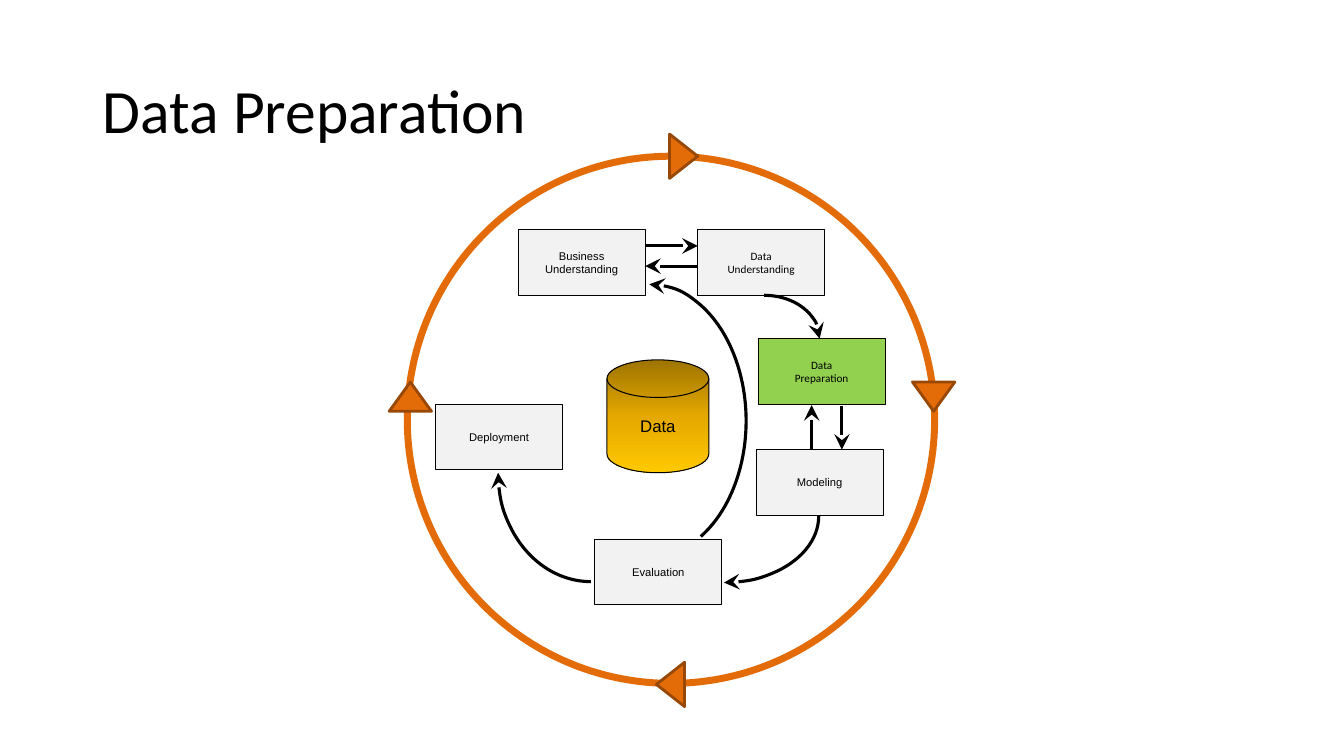
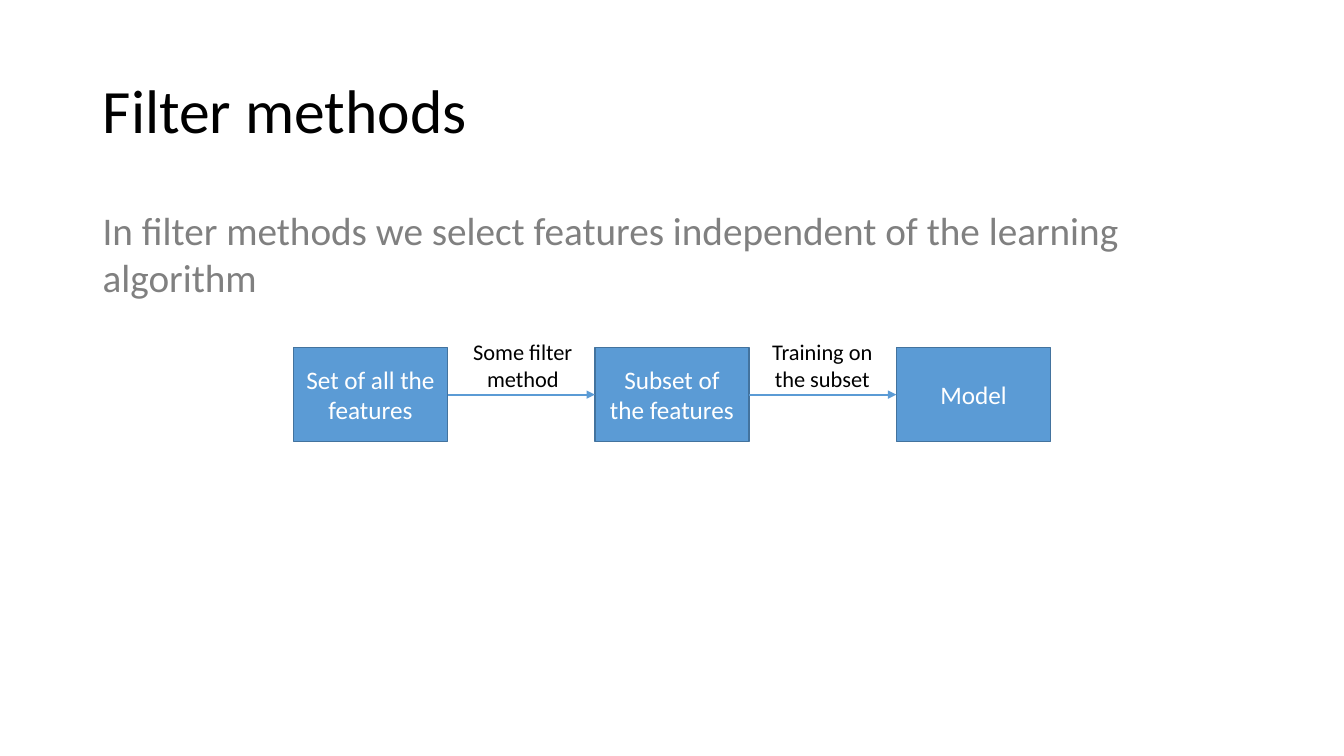
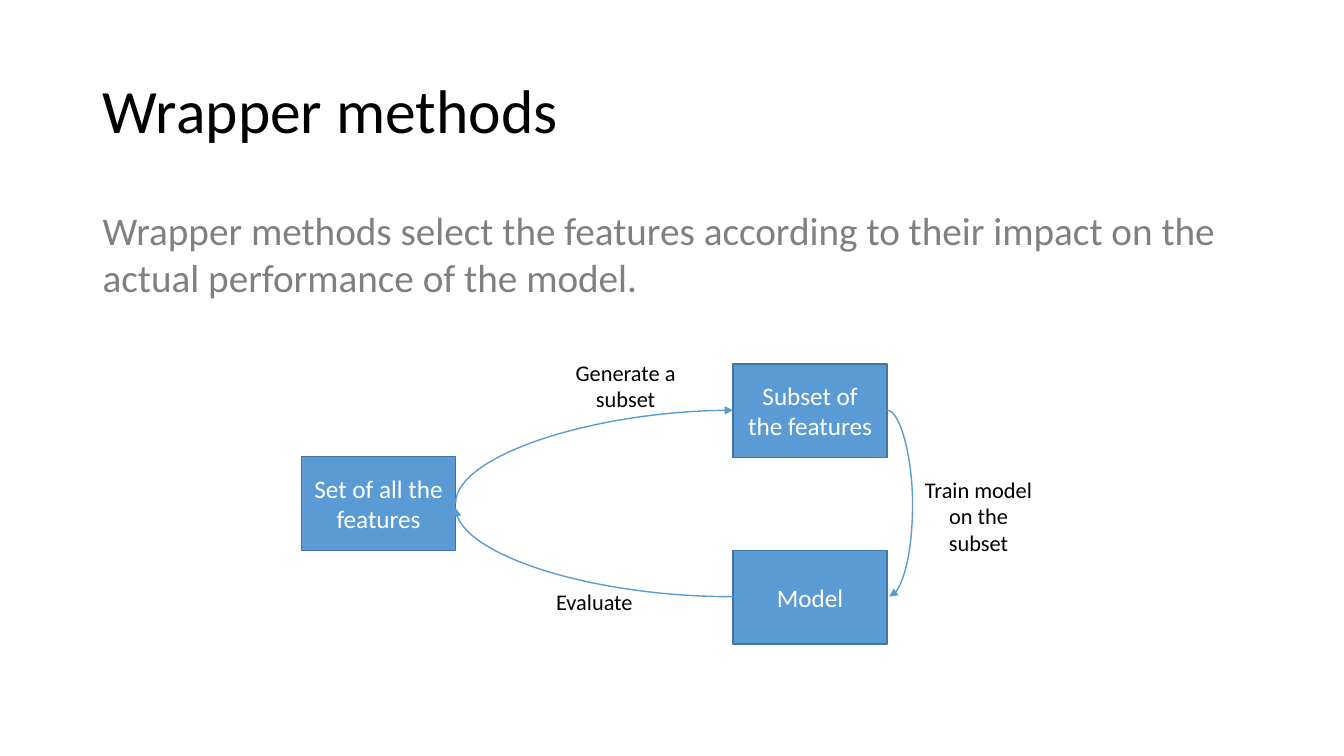
from copy import deepcopy

from lxml import etree
from pptx import Presentation
from pptx import util as u
from pptx.dml.color import RGBColor
from pptx.enum import shapes, text
from pptx.oxml.ns import qn

PX = 9144  # EMU in one px, 100 px to the inch
COLOURS = {
    "black": "000000", "white": "FFFFFF", "grey": "808080",
    "step": "F2F2F2", "active": "92D050",
    "ring": "E36C09", "ring_edge": "974806",
    "disk_top": "9E7400", "disk_mid": "E4A800", "disk_low": "FFC900",
    "blue": "5B9BD5", "blue_edge": "43739E",
}
KIND = shapes.MSO_SHAPE
LEFT, CENTRE = text.PP_ALIGN.LEFT, text.PP_ALIGN.CENTER
TOP, MIDDLE = text.MSO_ANCHOR.TOP, text.MSO_ANCHOR.MIDDLE
FLOW_W, FLOW_H = 153, 93


def px(*lengths):
    return [u.Emu(length * PX) for length in lengths]


def rgb(name):
    return RGBColor.from_string(COLOURS[name])


class Deck:
    def __init__(self):
        self.prs = Presentation()
        self.prs.slide_width, self.prs.slide_height = px(1333, 750)
        self.slide = None

    def new_slide(self, title):
        self.slide = self.prs.slides.add_slide(self.prs.slide_layouts[5])
        heading = self.slide.shapes.title
        heading.left, heading.top, heading.width, heading.height = px(92, 40, 1150, 145)
        self.put_text(heading, [title], 44, align=LEFT)
        heading.text_frame.paragraphs[0].line_spacing = 0.9

    def put_text(self, shape, lines, size, colour="black", font="Calibri",
                 align=CENTRE, anchor=MIDDLE):
        frame = shape.text_frame
        frame.word_wrap = True
        frame.auto_size = text.MSO_AUTO_SIZE.NONE
        frame.vertical_anchor = anchor
        for i, line in enumerate(lines):
            para = frame.add_paragraph() if i else frame.paragraphs[0]
            para.alignment = align
            run = para.add_run()
            run.text = line
            run.font.name, run.font.size = font, u.Pt(size)
            run.font.color.rgb = rgb(colour)

    def textbox(self, box, line, size, **style):
        area = self.slide.shapes.add_textbox(*px(*box))
        self.put_text(area, [line], size, anchor=TOP, **style)
        return area

    def intro(self, line):
        area = self.textbox((92, 200, 1150, 117), line, 28, colour="grey", align=LEFT)
        area.text_frame.paragraphs[0].space_before = u.Pt(10)

    def label(self, x, y, line, height=64):
        self.textbox((x, y, 129, height), line, 16)

    def shape(self, kind, box, fill, edge, weight, turn=0):
        item = self.slide.shapes.add_shape(kind, *px(*box))
        item.shadow.inherit = False
        item.rotation = turn
        if fill:
            item.fill.solid()
            item.fill.fore_color.rgb = rgb(fill)
        else:
            item.fill.background()
        item.line.color.rgb = rgb(edge)
        item.line.width = u.Pt(weight)
        return item

    def step(self, x, y, lines, font="Arial", fill="step"):
        item = self.shape(KIND.RECTANGLE, (x, y, 126, 65), fill, "black", 0.75)
        self.put_text(item, lines, 8, font=font)

    def flow_box(self, x, y, line):
        item = self.shape(KIND.RECTANGLE, (x, y, FLOW_W, FLOW_H), "blue", "blue_edge", 1)
        self.put_text(item, [line], 18, colour="white")
        return item

    def arc(self, box, turn=0, end_angle=0, arrow="tailEnd"):
        item = self.shape(KIND.ARC, box, None, "black", 2.25, turn)
        item.adjustments[1] = end_angle * 0.6  # one unit is 100000/60000 degrees
        self.arrowhead(item, "stealth", "lg", arrow)

    def disk(self, box, line):
        item = self.shape(KIND.FLOWCHART_MAGNETIC_DISK, box, None, "black", 0.75)
        item.fill.gradient()
        item.fill.gradient_angle = 270
        stops = item._element.spPr.find(".//" + qn("a:gsLst"))
        stops.append(deepcopy(stops[-1]))
        shades = ("disk_top", "disk_mid", "disk_low")
        for i, (stop, shade) in enumerate(zip(item.fill.gradient_stops, shades)):
            stop.position = i / 2
            stop.color.rgb = rgb(shade)
        self.put_text(item, [line], 12, font="Arial")

    def arrowhead(self, item, kind, size, end="tailEnd"):
        etree.SubElement(item.line._get_or_add_ln(), qn("a:" + end),
                         type=kind, w=size, len=size)

    def connector(self, start, end, colour, weight, curve=False):
        kind = shapes.MSO_CONNECTOR.CURVE if curve else shapes.MSO_CONNECTOR.STRAIGHT
        item = self.slide.shapes.add_connector(kind, *px(*start, *end))
        item.line.color.rgb = rgb(colour)
        item.line.width = u.Pt(weight)
        etree.SubElement(item._element.spPr, qn("a:effectLst"))
        return item

    def step_arrow(self, start, end):
        self.arrowhead(self.connector(start, end, "black", 2.25), "stealth", "lg")

    def flow_arrow(self, source, target):
        item = self.connector((0, 0), (1, 1), "blue", 1.5)
        item.begin_connect(source, 3)
        item.end_connect(target, 1)
        self.arrowhead(item, "triangle", "med")

    def quarter_curve(self, start, end, arrow="tailEnd"):
        """Leaves start sideways and meets end upright."""
        item = self.connector(start, end, "blue", 1, curve=True)
        item._element.spPr.find(qn("a:prstGeom")).set("prst", "curvedConnector2")
        self.arrowhead(item, "triangle", "med", arrow)

    def bulge_curve(self, start, end, bulge):
        item = self.connector(start, end, "blue", 1, curve=True)
        geometry = item._element.spPr.find(qn("a:prstGeom"))
        guides = geometry.find(qn("a:avLst"))
        if guides is None:
            guides = etree.SubElement(geometry, qn("a:avLst"))
        ratio = round(bulge / (end[0] - start[0]) * 100000)
        etree.SubElement(guides, qn("a:gd"), name="adj1", fmla=f"val {ratio}")
        self.arrowhead(item, "triangle", "med")


def data_preparation(deck):
    deck.new_slide("Data Preparation")

    # Steps of the cycle
    deck.step(514, 228, ["Business", "Understanding"])
    deck.step(692, 228, ["Data", "Understanding"], font="Calibri")
    deck.step(752, 336, ["Data", "Preparation"], font="Calibri", fill="active")
    deck.step(750, 446, ["Modeling"])
    deck.step(590, 535, ["Evaluation"])
    deck.step(432, 401, ["Deployment"])

    # Arrows between steps
    deck.step_arrow((640, 244), (692, 244))
    deck.step_arrow((692, 264), (640, 264))
    deck.step_arrow((835, 403), (835, 446))
    deck.step_arrow((805, 445), (805, 402))
    deck.arc((703, 293, 110, 86))
    deck.arc((652, 418, 132, 188), turn=90)
    deck.arc((548, 282, 192, 271), end_angle=66, arrow="headEnd")
    deck.arc((494, 361, 184, 216), turn=180)

    # Data store
    deck.disk((602, 357, 101, 112), "Data")

    # Outer ring with its direction marks
    deck.shape(KIND.OVAL, (404, 155, 523, 523), None, "ring", 5)
    marks = [((386, 379, 42, 29), 0), ((643, 665, 44, 28), 270),
             ((656, 141, 44, 28), 90), ((905, 379, 42, 29), 180)]
    for box, turn in marks:
        deck.shape(KIND.ISOSCELES_TRIANGLE, box, "ring", "ring_edge", 2, turn)


def filter_methods(deck):
    deck.new_slide("Filter methods")
    deck.intro("In filter methods we select features independent of the learning algorithm")

    # Row of stages
    stages = ["Set of all the features", "Subset of the features", "Model"]
    boxes = [deck.flow_box(291 + 299 * i, 345, stage) for i, stage in enumerate(stages)]
    for source, target in zip(boxes, boxes[1:]):
        deck.flow_arrow(source, target)
    for i, action in enumerate(["Some filter method", "Training on the subset"]):
        deck.label(454 + 297 * i, 331, action)


def wrapper_methods(deck):
    deck.new_slide("Wrapper methods")
    deck.intro("Wrapper methods select the features according to their impact on the "
               "actual performance of the model.")

    # Loop of stages
    deck.flow_box(299, 453, "Set of all the features")
    deck.flow_box(727, 361, "Subset of the features")
    deck.flow_box(727, 546, "Model")

    # Arrows and their actions
    deck.quarter_curve((727, 407), (452, 499), arrow="headEnd")
    deck.bulge_curve((880, 407), (882, 592), 25)
    deck.quarter_curve((727, 592), (452, 504))
    deck.label(556, 351, "Generate a subset")
    deck.label(906, 467, "Train model on the subset", height=91)
    deck.label(525, 579, "Evaluate", height=37)


def main():
    deck = Deck()
    data_preparation(deck)
    filter_methods(deck)
    wrapper_methods(deck)
    deck.prs.save("out.pptx")


if __name__ == "__main__":
    main()
